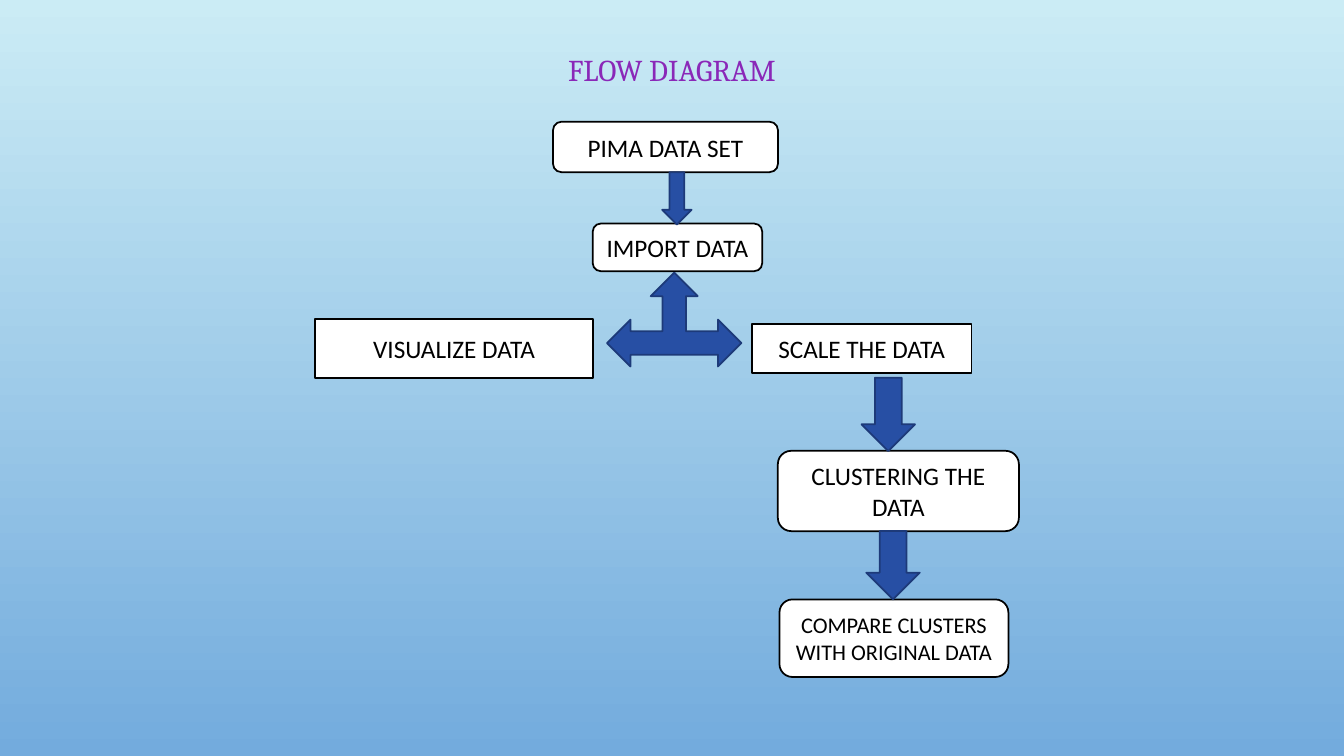
from dataclasses import dataclass

from pptx import Presentation
from pptx.dml.color import RGBColor
from pptx.enum.shapes import MSO_SHAPE
from pptx.enum.text import MSO_ANCHOR, MSO_AUTO_SIZE, PP_ALIGN
from pptx.shapes.autoshape import Shape
from pptx.slide import Slide
from pptx.text.text import TextFrame
from pptx.util import Pt

ROUND = MSO_SHAPE.FLOWCHART_ALTERNATE_PROCESS
PLAIN = MSO_SHAPE.FLOWCHART_PROCESS
DOWN = MSO_SHAPE.DOWN_ARROW
SPLIT = MSO_SHAPE.LEFT_RIGHT_UP_ARROW
MIDDLE = MSO_ANCHOR.MIDDLE
CENTER = PP_ALIGN.CENTER
NO_FIT = MSO_AUTO_SIZE.NONE

SKY = RGBColor(0xCB, 0xEC, 0xF5)
BLUE = RGBColor(0x73, 0xAB, 0xDD)
PURPLE = RGBColor(0x8A, 0x28, 0xB8)
WHITE = RGBColor(0xFF, 0xFF, 0xFF)
BLACK = RGBColor(0x00, 0x00, 0x00)
NAVY = RGBColor(0x27, 0x4F, 0xA4)
DARK = RGBColor(0x1D, 0x3A, 0x79)


@dataclass(frozen=True)
class Node:
    kind: MSO_SHAPE
    left: float
    top: float
    width: float
    height: float
    text: str = ""
    size: float = 18


STEPS = [
    Node(ROUND, 395, 87, 160.7, 36, "PIMA DATA SET"),
    Node(ROUND, 423.4, 159.7, 121, 34, "IMPORT DATA"),
    Node(PLAIN, 225, 228, 198.7, 41.8, "VISUALIZE DATA"),
    Node(PLAIN, 537, 231.5, 157, 34.8, "SCALE THE DATA"),
    Node(ROUND, 555.6, 322, 172.2, 57.4, "CLUSTERING THE DATA"),
    Node(ROUND, 556.8, 428.2, 163.5, 55.4, "COMPARE CLUSTERS WITH ORIGINAL DATA", 16),
]
ARROWS = [
    Node(DOWN, 473, 123, 21, 37.4),
    Node(SPLIT, 433.6, 194.8, 96, 67),
    Node(DOWN, 615.4, 269.8, 38.2, 52.4),
    Node(DOWN, 618.8, 379.4, 38.2, 48.8),
]


def write(frame: TextFrame, text: str, font: str, size: float, color: RGBColor) -> None:
    frame.text = text
    frame.word_wrap = True
    frame.auto_size = NO_FIT
    frame.vertical_anchor = MIDDLE
    para = frame.paragraphs[0]
    para.alignment = CENTER
    run = para.runs[0].font
    run.name = font
    run.size = Pt(size)
    run.color.rgb = color


def draw(slide: Slide, node: Node, fill: RGBColor, line: RGBColor) -> Shape:
    shape = slide.shapes.add_shape(
        node.kind, Pt(node.left), Pt(node.top), Pt(node.width), Pt(node.height)
    )
    shape.shadow.inherit = False
    shape.fill.solid()
    shape.fill.fore_color.rgb = fill
    shape.line.color.rgb = line
    shape.line.width = Pt(1.25)
    if node.text:
        write(shape.text_frame, node.text, "Calibri", node.size, BLACK)
    return shape


def paint(slide: Slide) -> None:
    fill = slide.background.fill
    fill.gradient()
    fill.gradient_angle = 270
    for stop, color, place in zip(fill.gradient_stops, (SKY, BLUE), (0, 1)):
        stop.color.rgb = color
        stop.position = place


def head(slide: Slide) -> None:
    title = slide.shapes.title
    title.left, title.top = Pt(72), Pt(33)
    title.width, title.height = Pt(816), Pt(37)
    write(title.text_frame, "FLOW DIAGRAM", "Cambria", 21.6, PURPLE)
    title.text_frame.paragraphs[0].line_spacing = 0.9


def main() -> None:
    deck = Presentation()
    deck.slide_width, deck.slide_height = Pt(960), Pt(540)
    slide = deck.slides.add_slide(deck.slide_layouts[5])
    paint(slide)
    head(slide)
    for step in STEPS:
        draw(slide, step, WHITE, BLACK)
    for arrow in ARROWS:
        draw(slide, arrow, NAVY, DARK)
    deck.save("out.pptx")


if __name__ == "__main__":
    main()
